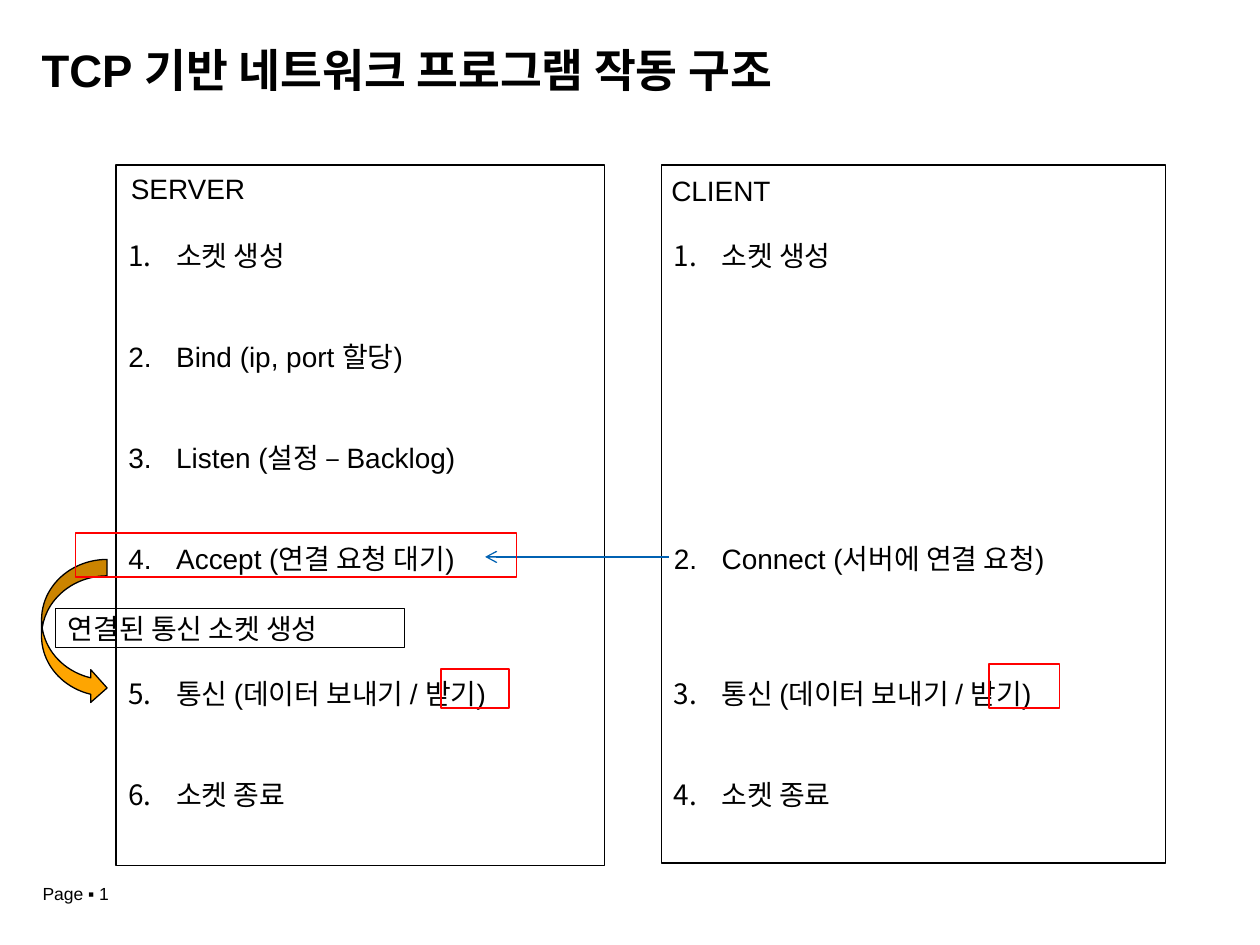
"""Build a slide comparing the TCP server and client call sequences."""
from pptx import Presentation
from pptx import util as u
from pptx.dml.color import RGBColor
from pptx.enum import shapes, text
from pptx.oxml.ns import qn
from lxml import etree

COLORS = {"black": "000000", "red": "FF0000", "blue": "0061B2", "orange": "FEA501"}
FONT = "Arial"
LINE_POINTS = 19.25
INDENT = 0.38
INSET_X, INSET_Y = 0.1, 0.05

LABELS = [
    ("Page ▪ 1", (0.24, 6.96, 1.47, 0.27), {"size": 10}, {}),
    ("TCP 기반 네트워크 프로그램 작동 구조", (0.33, 0.33, 9.32, 0.49),
     {"size": 26, "bold": True}, {"margin_left": 0, "margin_right": 0}),
    ("SERVER", (0.94, 1.31, 1.67, 0.37), {}, {}),
    ("CLIENT", (5.23, 1.33, 1.67, 0.37), {}, {}),
]
PANELS = [
    ((0.92, 1.31, 3.88, 5.56), [
        (2, "소켓 생성"),
        (5, "Bind (ip, port 할당)"),
        (8, "Listen (설정 – Backlog)"),
        (11, "Accept (연결 요청 대기)"),
        (15, "통신 (데이터 보내기 / 받기)"),
        (18, "소켓 종료"),
    ]),
    ((5.25, 1.31, 4, 5.54), [
        (2, "소켓 생성"),
        (11, "Connect (서버에 연결 요청)"),
        (15, "통신 (데이터 보내기 / 받기)"),
        (18, "소켓 종료"),
    ]),
]
REQUEST_ARROW = (5.31, 4.42, 3.85, 4.42)
LOOP_ARROW = (0.33, 4.44, 0.52, 1.15)
SOCKET_NOTE = ("연결된 통신 소켓 생성", (0.44, 4.83, 2.77, 0.31))
HIGHLIGHTS = [(0.6, 4.23, 3.5, 0.35), (3.5, 5.31, 0.54, 0.31), (7.85, 5.27, 0.56, 0.35)]


def inches(values):
    return [u.Inches(value) for value in values]


def apply(target, **values):
    for name, value in values.items():
        setattr(target, name, value)


def color(name):
    return RGBColor.from_string(COLORS[name])


def set_line(line, name):
    line.color.rgb = color(name)
    line.width = u.Pt(0.75)


def add_outline(slide, box, line="black", fill=None, kind=shapes.MSO_SHAPE.RECTANGLE):
    shape = slide.shapes.add_shape(kind, *inches(box))
    shape.shadow.inherit = False
    if fill:
        shape.fill.solid()
        shape.fill.fore_color.rgb = color(fill)
    else:
        shape.fill.background()
    set_line(shape.line, line)
    return shape


def format_frame(frame, **overrides):
    values = {
        "word_wrap": True,
        "vertical_anchor": text.MSO_ANCHOR.TOP,
        "margin_left": u.Inches(INSET_X),
        "margin_right": u.Inches(INSET_X),
        "margin_top": u.Inches(INSET_Y),
        "margin_bottom": u.Inches(INSET_Y),
    }
    apply(frame, **{**values, **overrides})


def write(paragraph, words, size=16, bold=False):
    paragraph.alignment = text.PP_ALIGN.LEFT
    run = paragraph.add_run()
    run.text = words
    apply(run.font, name=FONT, size=u.Pt(size), bold=bold)
    run.font.color.rgb = color("black")


def number(paragraph):
    properties = paragraph._p.get_or_add_pPr()
    properties.set("marL", str(u.Inches(INDENT)))
    properties.set("indent", str(-u.Inches(INDENT)))
    etree.SubElement(properties, qn("a:buFont"), typeface=FONT)
    etree.SubElement(properties, qn("a:buAutoNum"), type="arabicPeriod")


def add_panel(slide, box, steps):
    frame = add_outline(slide, box).text_frame
    first_row = steps[0][0]
    format_frame(frame, margin_top=u.Inches(INSET_Y) + u.Pt(first_row * LINE_POINTS))
    previous_row = first_row - 1
    for index, (row, words) in enumerate(steps):
        paragraph = frame.add_paragraph() if index else frame.paragraphs[0]
        paragraph.space_before = u.Pt((row - previous_row - 1) * LINE_POINTS)
        write(paragraph, words)
        number(paragraph)
        previous_row = row


def add_request_arrow(slide):
    connector = slide.shapes.add_connector(
        shapes.MSO_CONNECTOR.STRAIGHT, *inches(REQUEST_ARROW))
    set_line(connector.line, "blue")
    etree.SubElement(connector.line._get_or_add_ln(), qn("a:tailEnd"), type="arrow")
    etree.SubElement(connector._element.spPr, qn("a:effectLst"))


def main():
    presentation = Presentation()
    apply(presentation, slide_width=u.Inches(10), slide_height=u.Inches(7.5))
    slide = presentation.slides.add_slide(presentation.slide_layouts[6])

    for box, steps in PANELS:
        add_panel(slide, box, steps)
    for words, box, font, margins in LABELS:
        frame = slide.shapes.add_textbox(*inches(box)).text_frame
        format_frame(frame, **margins)
        write(frame.paragraphs[0], words, **font)
        if font.get("bold"):
            frame.paragraphs[0].line_spacing = 0.9

    add_request_arrow(slide)
    add_outline(slide, LOOP_ARROW, fill="orange",
                kind=shapes.MSO_SHAPE.CURVED_RIGHT_ARROW)
    words, box = SOCKET_NOTE
    frame = add_outline(slide, box).text_frame
    format_frame(frame, vertical_anchor=text.MSO_ANCHOR.MIDDLE)
    write(frame.paragraphs[0], words)
    for box in HIGHLIGHTS:
        add_outline(slide, box, "red")

    presentation.save("out.pptx")


if __name__ == "__main__":
    main()
